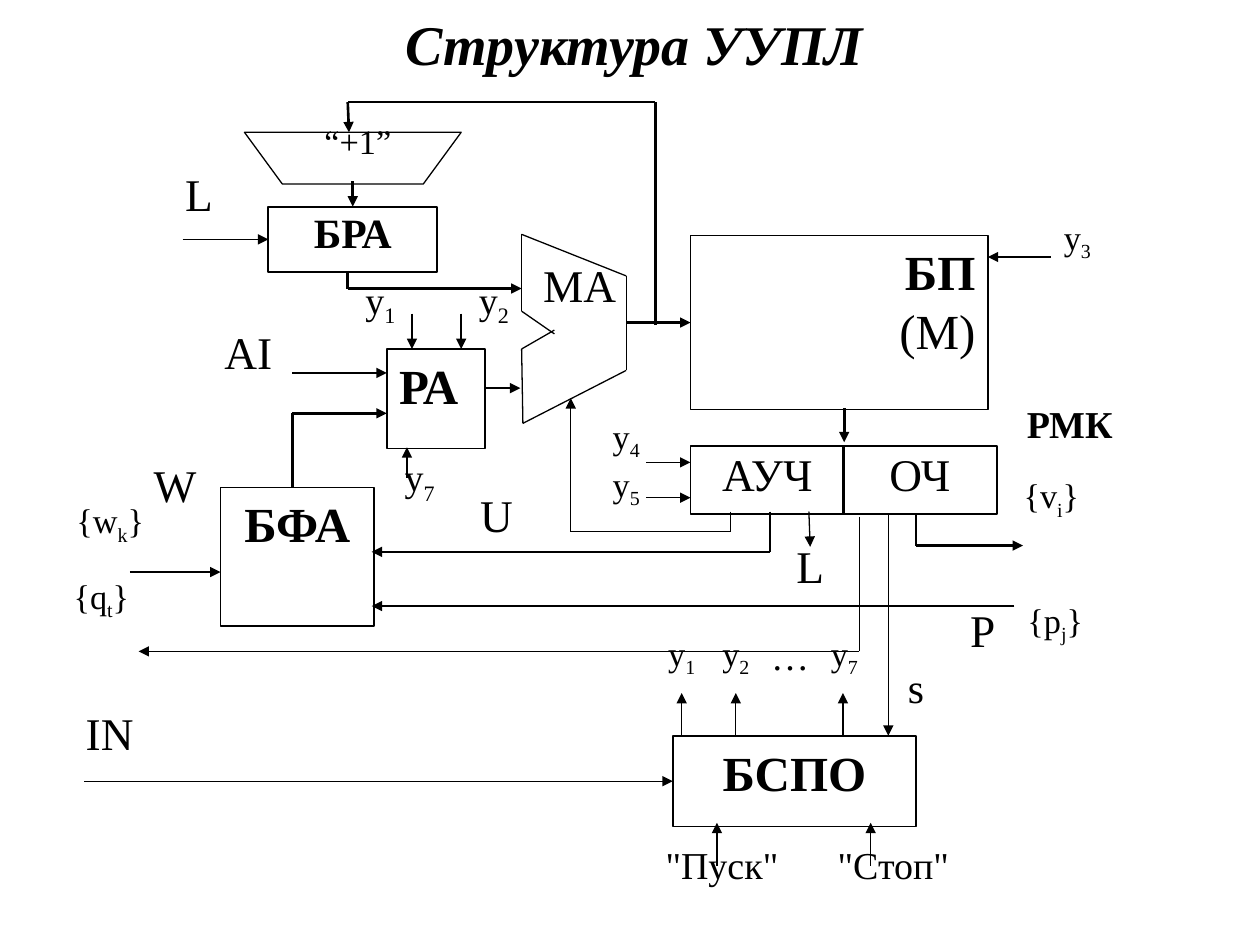
import dataclasses

import lxml.etree
import pptx
import pptx.dml.color
import pptx.enum.shapes
import pptx.enum.text
import pptx.oxml.ns
import pptx.util

Inches = pptx.util.Inches
Pt = pptx.util.Pt
qn = pptx.oxml.ns.qn
ALIGN = pptx.enum.text.PP_ALIGN
ANCHOR = pptx.enum.text.MSO_ANCHOR


@dataclasses.dataclass(frozen=True)
class Theme:
    ink: str = "000000"
    paper: str = "FFFFFF"
    font: str = "Times New Roman"
    # Type sizes
    title: float = 32
    block: float = 28
    bus: float = 25.9
    mid: float = 23.8
    note: float = 21.7
    small: float = 19.6
    # Line widths
    thin: float = 0.75
    edge: float = 1
    thick: float = 1.5


THEME = Theme()
INK = pptx.dml.color.RGBColor.from_string(THEME.ink)


def pitch(size):
    """Smaller type is set with tighter lines."""
    if size >= THEME.block:
        return 1.0
    return 0.9 if size >= THEME.mid else 0.8


def write(frame, text, size=THEME.small, bold=False, italic=False,
          align=ALIGN.CENTER, anchor=ANCHOR.TOP):
    """Fill a frame; "_" lowers the next letter, and a line starting with "~" is not bold."""
    frame.word_wrap = True
    frame.vertical_anchor = anchor
    for row, line in enumerate(text.split("\n")):
        para = frame.add_paragraph() if row else frame.paragraphs[0]
        para.alignment = align
        para.line_spacing = pitch(size)
        light = line.startswith("~")
        base, _, tail = line.lstrip("~").partition("_")
        for part, low in ((base, False), (tail[:1], True), (tail[1:], False)):
            if not part:
                continue
            run = para.add_run()
            run.text = part
            font = run.font
            font.name, font.size = THEME.font, Pt(size)
            font.bold, font.italic = bold and not light, italic
            font.color.rgb = INK
            if low:
                run._r.get_or_add_rPr().set("baseline", "-25000")


def label(slide, text, left, top, width=0.72, height=0.5, **style):
    area = slide.shapes.add_textbox(*map(Inches, (left, top, width, height)))
    write(area.text_frame, text, **style)


def trim(shape, width):
    """Outline only, without shadow."""
    shape.shadow.inherit = False
    shape.fill.background()
    shape.line.color.rgb = INK
    shape.line.width = Pt(width)


def block(slide, text, left, top, width, height, **style):
    kind = pptx.enum.shapes.MSO_SHAPE.RECTANGLE
    box = slide.shapes.add_shape(kind, *map(Inches, (left, top, width, height)))
    trim(box, THEME.edge)
    write(box.text_frame, text, **style)
    return box


def route(slide, *points, width=THEME.thin, arrow=True, join=None):
    """Run straight lines through the points; the last one may bear an arrow."""
    kind = pptx.enum.shapes.MSO_CONNECTOR.STRAIGHT
    for start, end in zip(points, points[1:]):
        wire = slide.shapes.add_connector(kind, *map(Inches, start + end))
        wire.line.color.rgb = INK
        wire.line.width = Pt(width)
        props = wire._element.spPr
        lxml.etree.SubElement(props, qn("a:effectLst"))
        if end is points[-1]:
            if arrow:
                lxml.etree.SubElement(props.find(qn("a:ln")), qn("a:tailEnd"), type="triangle")
            if join:
                wire.end_connect(*join)


def outline(slide, points):
    build = slide.shapes.build_freeform(*map(Inches, points[0]), scale=1.0)
    build.add_line_segments([tuple(map(Inches, spot)) for spot in points[1:]], close=True)
    trim(build.convert_to_shape(), THEME.thin)


def blocks(slide):
    head = dict(size=THEME.block, bold=True)
    half = dict(size=THEME.bus)
    boxes = {
        "mem": block(slide, "БП\n~(M)", 5.48, 1.87, 2.36, 1.38, align=ALIGN.RIGHT, **head),
        "base": block(slide, "БРА", 2.13, 1.64, 1.34, 0.52, size=THEME.mid, bold=True),
        "start": block(slide, "БСПО", 5.34, 5.84, 1.93, 0.72, **head),
    }
    block(slide, "АУЧ", 5.48, 3.54, 1.22, 0.54, **half)
    block(slide, "ОЧ", 6.69, 3.54, 1.22, 0.54, **half)
    block(slide, "БФА", 1.75, 3.87, 1.22, 1.1, **head)
    block(slide, "РА", 3.07, 2.77, 0.78, 0.79, align=ALIGN.LEFT, **head)
    # Increment block
    outline(slide, [(1.94, 1.05), (2.24, 1.46), (3.36, 1.46), (3.66, 1.05)])
    label(slide, "“+1”", 1.94, 0.97, 1.8, 0.45)
    # Address multiplexer: upper and lower notch sides overlap
    route(slide, (4.4, 2.65), (4.14, 2.47), (4.14, 1.86), (4.97, 2.19),
          (4.97, 2.94), (4.15, 3.36), (4.14, 2.77), (4.4, 2.62), arrow=False)
    label(slide, "MA", 4.1, 2.04, 1, 0.55, size=THEME.bus)
    return boxes


def buses(slide, boxes):
    bold = dict(width=THEME.thick)
    # Feedback to the increment block
    route(slide, (5.2, 2.58), (5.2, 0.81), (2.76, 0.81), (2.77, 1.05), **bold)
    route(slide, (2.8, 1.44), (2.8, 1.64), join=(boxes["base"], 0), **bold)
    # Into and out of the multiplexer
    route(slide, (2.76, 2.15), (2.76, 2.29), (4.14, 2.29), **bold)
    route(slide, (3.86, 3.08), (4.13, 3.08), **bold)
    route(slide, (4.98, 2.56), (5.48, 2.56), join=(boxes["mem"], 1), **bold)
    # Address register inputs
    route(slide, (2.32, 2.96), (3.07, 2.96), **bold)
    route(slide, (2.32, 3.87), (2.32, 3.28), (3.07, 3.28), **bold)
    # Memory output and returns to the address former
    route(slide, (6.7, 3.24), (6.7, 3.51), **bold)
    route(slide, (6.11, 4.06), (6.11, 4.38), (2.95, 4.38), **bold)
    route(slide, (7.27, 4.08), (7.27, 4.33), (8.12, 4.33), **bold)
    route(slide, (8.05, 4.81), (2.95, 4.81), **bold)


def signals(slide, boxes):
    route(slide, (1.03, 4.54), (1.75, 4.54))
    route(slide, (6.82, 4.1), (6.82, 5.17), (1.1, 5.17))
    route(slide, (7.05, 4.08), (7.05, 5.84))
    route(slide, (5.8, 4.06), (5.8, 4.22), (4.53, 4.22), (4.53, 3.16))
    route(slide, (6.42, 4.06), (6.43, 4.34))
    route(slide, (8.34, 2.04), (7.84, 2.04))
    route(slide, (3.23, 3.79), (3.23, 3.55))
    route(slide, (1.45, 1.9), (2.13, 1.9), join=(boxes["base"], 1))
    route(slide, (0.67, 6.2), (5.34, 6.2), join=(boxes["start"], 1))
    for x in (3.27, 3.66):
        route(slide, (x, 2.49), (x, 2.77))
    for y in (3.67, 3.95):
        route(slide, (5.13, y), (5.48, y))
    for x in (5.41, 5.84, 6.69):
        route(slide, (x, 5.84), (x, 5.5))
    for x in (5.69, 6.91):
        route(slide, (x, 6.87), (x, 6.53))


def names(slide):
    # Sets of signals
    for text, left, top in (("{w_k}", 0.34, 3.95), ("{q_t}", 0.27, 4.55),
                            ("{v_i}", 7.81, 3.75), ("{p_j}", 7.84, 4.74)):
        label(slide, text, left, top, 1.07)
    # Control signals
    for text, left, top in (("y_1", 5.05, 5), ("y_2", 5.48, 5), ("y_7", 6.34, 5),
                            ("y_4", 4.61, 3.28), ("y_5", 4.61, 3.66), ("y_3", 8.19, 1.7)):
        label(slide, text, left, top)
    for text, left, top in (("y_1", 2.53, 2.18), ("y_2", 3.43, 2.18), ("y_7", 2.84, 3.59)):
        label(slide, text, left, top, 0.98, 0.54, size=THEME.note)
    # Buses
    for text, left, top in (("W", 1.03, 3.63), ("U", 3.58, 3.87), ("P", 7.44, 4.78),
                            ("IN", 0.51, 5.6), ("L", 6.07, 4.27), ("L", 1.22, 1.32),
                            ("АI", 1.61, 2.57)):
        label(slide, text, left, top, height=0.54, size=THEME.bus)
    # Notes
    label(slide, "…", 5.91, 5.04, size=THEME.note)
    label(slide, "s", 6.91, 5.25, size=THEME.mid)
    label(slide, "РМК", 7.92, 3.2, 1.14, size=THEME.note, bold=True)
    for text, left in (('"Пуск"', 4.98), ('"Стоп"', 6.34)):
        label(slide, text, left, 6.7, 1.5, size=THEME.note)


def main():
    deck = pptx.Presentation()
    deck.slide_width, deck.slide_height = Inches(10), Inches(7.5)
    slide = deck.slides.add_slide(deck.slide_layouts[6])
    back = slide.background.fill
    back.solid()
    back.fore_color.rgb = pptx.dml.color.RGBColor.from_string(THEME.paper)
    label(slide, "Структура УУПЛ", 1.1, 0, 7.87, 0.68, size=THEME.title,
          bold=True, italic=True, anchor=ANCHOR.MIDDLE)
    boxes = blocks(slide)
    buses(slide, boxes)
    signals(slide, boxes)
    names(slide)
    deck.save("out.pptx")


if __name__ == "__main__":
    main()
